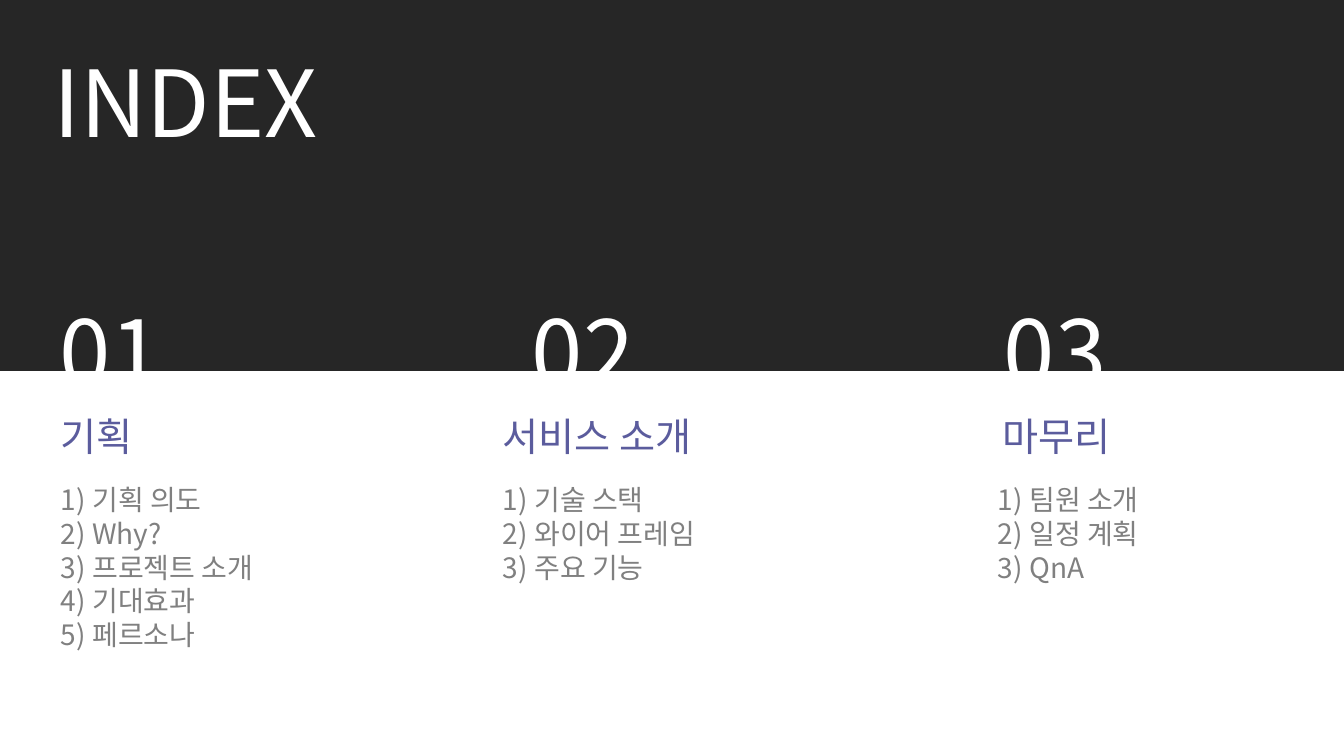
from pptx import Presentation
from pptx.dml.color import RGBColor
from pptx.enum.shapes import MSO_SHAPE
from pptx.enum.text import MSO_ANCHOR, MSO_AUTO_SIZE, PP_ALIGN
from pptx.oxml.ns import qn
from pptx.util import Pt
from lxml import etree

COLORS = {"dark": "262626", "white": "FFFFFF", "accent": "5B5C9D", "gray": "808080"}
FONT = "Noto Sans CJK KR"
SCALE = 12192000 / 1344
WIDTH, HEIGHT, SPLIT = 1344, 756, 371
SECTIONS = [
    ("01", 27, "기획", 51, 51,
     ["1) 기획 의도", "2) Why?", "3) 프로젝트 소개", "4) 기대효과", "5) 페르소나"]),
    ("02", 499, "서비스 소개", 493, 493,
     ["1) 기술 스택", "2) 와이어 프레임", "3) 주요 기능"]),
    ("03", 971, "마무리", 993, 988,
     ["1) 팀원 소개", "2) 일정 계획", "3) QnA"]),
]


def px(n):
    """Turn px into EMU."""
    return round(n * SCALE)


def color(name):
    """Look up a palette colour."""
    return RGBColor.from_string(COLORS[name])


def add_band(s, x, y, w, h, fill):
    """Draw a plain filled rectangle."""
    sp = s.shapes.add_shape(MSO_SHAPE.RECTANGLE, px(x), px(y), px(w), px(h))
    sp.shadow.inherit = False
    sp.fill.solid()
    sp.fill.fore_color.rgb = color(fill)
    sp.line.fill.background()


def format_text(sp, lines, size, fill, align=PP_ALIGN.LEFT):
    """Fill a text shape with evenly spaced lines in one style."""
    tf = sp.text_frame
    tf.text = "\n".join(lines)
    tf.word_wrap = True
    tf.auto_size = MSO_AUTO_SIZE.NONE
    tf.vertical_anchor = MSO_ANCHOR.TOP
    tf.margin_left = tf.margin_right = px(10)
    tf.margin_top = px(5 + round(size * 0.12))
    tf.margin_bottom = px(5)
    for p in tf.paragraphs:
        p.alignment = align
        p.line_spacing = Pt(round(size * 1.2))
        p.space_before = Pt(0)
        for r in p.runs:
            r.font.name = FONT
            r.font.size = Pt(size)
            r.font.color.rgb = color(fill)
            ea = etree.SubElement(r.font._element, qn("a:ea"))
            ea.set("typeface", FONT)


def add_text(s, x, y, w, h, *style):
    """Add a formatted text box."""
    sp = s.shapes.add_textbox(px(x), px(y), px(w), px(h))
    format_text(sp, *style)


def place_title(s, x, y, w, h, text):
    """Place the title placeholder in front of the bands."""
    sp = s.shapes.title
    sp.left, sp.top, sp.width, sp.height = px(x), px(y), px(w), px(h)
    format_text(sp, [text], 66, "white", PP_ALIGN.CENTER)
    sp._element.getparent().append(sp._element)


def add_section(s, y, number, number_x, heading, heading_x, list_x, items):
    """Stack a section's number, heading and list from the given top."""
    add_text(s, number_x, y, 168, 122, [number], 66, "white", PP_ALIGN.CENTER)
    add_text(s, heading_x, y + 122, 280, 57, [heading], 28, "accent")
    add_text(s, list_x, y + 194, 280, 10 + 34 * len(items), items, 20, "gray")


def build_index(prs):
    """Build the index slide."""
    s = prs.slides.add_slide(prs.slide_layouts[5])
    s.background.fill.solid()
    s.background.fill.fore_color.rgb = color("dark")
    add_band(s, 0, SPLIT, WIDTH, HEIGHT - SPLIT, "white")
    add_band(s, 0, 0, WIDTH, SPLIT, "dark")
    place_title(s, 33, 32, 305, 122, "INDEX")
    for section in SECTIONS:
        add_section(s, 282, *section)


def main():
    """Create and save the presentation."""
    prs = Presentation()
    prs.slide_width, prs.slide_height = px(WIDTH), px(HEIGHT)
    build_index(prs)
    prs.save("out.pptx")


if __name__ == "__main__":
    main()
